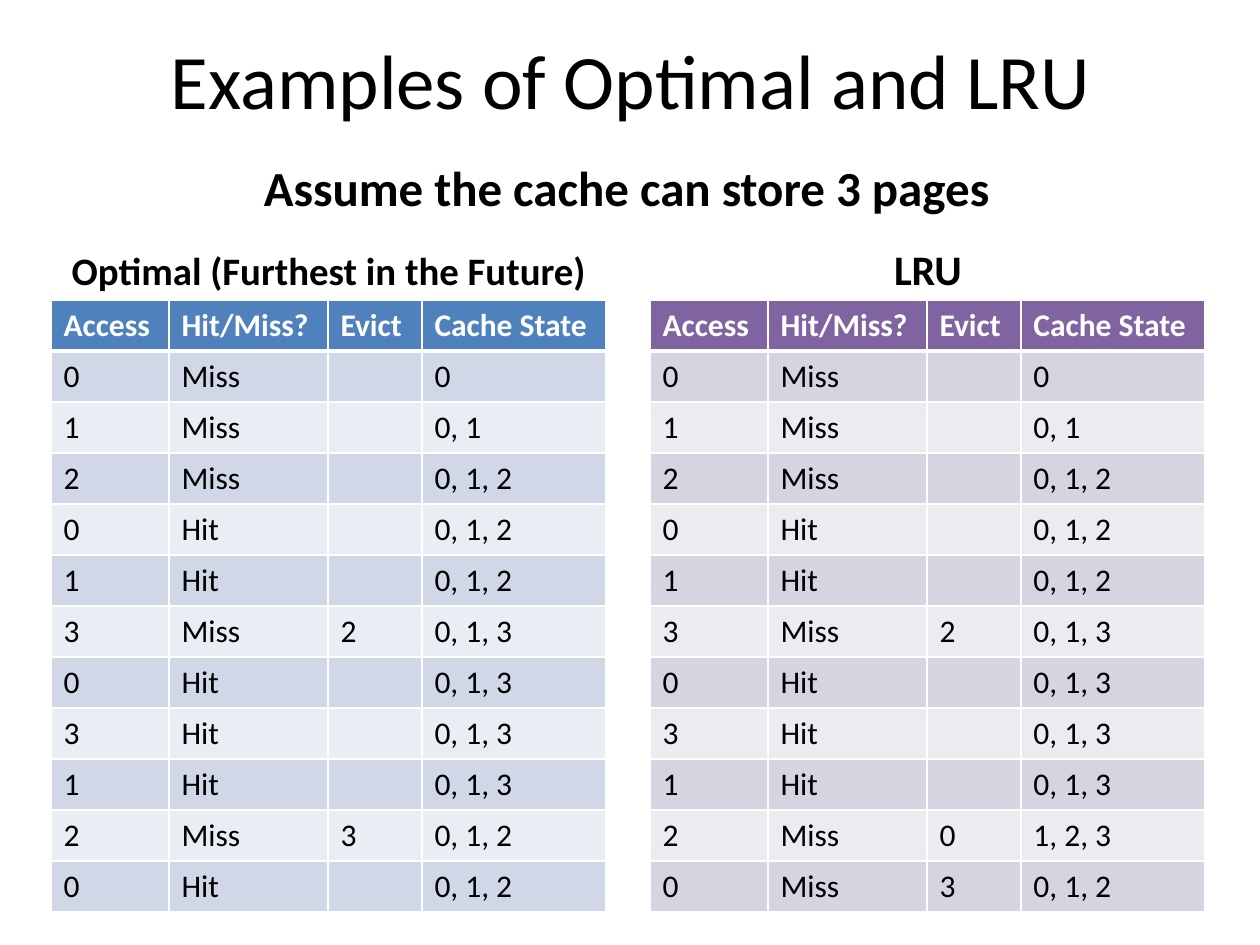
"""Build a slide comparing optimal and LRU page eviction."""
from dataclasses import dataclass

import pptx
import pptx.dml.color
import pptx.enum.text
import pptx.oxml.ns
import pptx.util
from lxml import etree

EMU_PER_PX = 914400 / 126


@dataclass(frozen=True)
class Theme:
    font: str = "Calibri"
    ink: str = "000000"
    paper: str = "FFFFFF"
    optimal: tuple = ("4F81BD", "D0D8E8", "E9EDF4")
    lru: tuple = ("8064A2", "D8D3E0", "EDEAF0")
    title_size: float = 44
    assumption_size: float = 28
    lru_size: float = 24
    optimal_size: float = 22.2
    cell_size: float = 18
    grid_width: float = 1
    header_rule_width: float = 3


def px(length):
    return pptx.util.Emu(round(length * EMU_PER_PX))


def rgb(value):
    return pptx.dml.color.RGBColor.from_string(value)


def put_text(frame, content, *, font, size, color, bold=False, align=None):
    paragraph = frame.paragraphs[0]
    paragraph.alignment = align
    run = paragraph.add_run()
    run.text = content
    run.font.name = font
    run.font.size = pptx.util.Pt(size)
    run.font.bold = bold
    run.font.color.rgb = rgb(color)


class SlideBuilder:
    def __init__(self, slide, theme):
        self.slide = slide
        self.theme = theme

    def heading(self, content, box, size, bold=True, anchor="BOTTOM"):
        frame = self.slide.shapes.add_textbox(*map(px, box)).text_frame
        frame.word_wrap = True
        frame.vertical_anchor = pptx.enum.text.MSO_ANCHOR[anchor]
        put_text(frame, content, font=self.theme.font, size=size,
                 color=self.theme.ink, bold=bold,
                 align=pptx.enum.text.PP_ALIGN.CENTER)

    def borders(self, cell, top, bottom):
        properties = cell._tc.get_or_add_tcPr()
        grid = self.theme.grid_width
        for side, width in (("L", grid), ("R", grid), ("T", top), ("B", bottom)):
            line = etree.SubElement(properties, pptx.oxml.ns.qn(f"a:ln{side}"),
                                    w=str(pptx.util.Pt(width)))
            fill = etree.SubElement(line, pptx.oxml.ns.qn("a:solidFill"))
            etree.SubElement(fill, pptx.oxml.ns.qn("a:srgbClr"),
                             val=self.theme.paper)

    def trace_table(self, left, top, widths, row_height, records, palette):
        theme = self.theme
        header_fill, *bands = palette
        table = self.slide.shapes.add_table(
            len(records), len(widths), px(left), px(top),
            px(sum(widths)), px(row_height * len(records))).table
        for column, width in zip(table.columns, widths):
            column.width = px(width)
        for index, record in enumerate(records):
            table.rows[index].height = px(row_height)
            is_header = index == 0
            fill = header_fill if is_header else bands[(index - 1) % 2]
            above = theme.header_rule_width if index == 1 else theme.grid_width
            below = theme.header_rule_width if is_header else theme.grid_width
            for column, content in enumerate(record):
                cell = table.cell(index, column)
                self.borders(cell, above, below)
                cell.fill.solid()
                cell.fill.fore_color.rgb = rgb(fill)
                put_text(cell.text_frame, content, font=theme.font,
                         size=theme.cell_size, bold=is_header,
                         color=theme.paper if is_header else theme.ink)


def main():
    theme = Theme()
    deck = pptx.Presentation()
    deck.slide_width, deck.slide_height = px(1260), px(945)
    builder = SlideBuilder(deck.slides.add_slide(deck.slide_layouts[6]), theme)

    header = ("Access", "Hit/Miss?", "Evict", "Cache State")
    shared_trace = [
        ("0", "Miss", "", "0"),
        ("1", "Miss", "", "0, 1"),
        ("2", "Miss", "", "0, 1, 2"),
        ("0", "Hit", "", "0, 1, 2"),
        ("1", "Hit", "", "0, 1, 2"),
        ("3", "Miss", "2", "0, 1, 3"),
        ("0", "Hit", "", "0, 1, 3"),
        ("3", "Hit", "", "0, 1, 3"),
        ("1", "Hit", "", "0, 1, 3"),
    ]
    optimal_end = [("2", "Miss", "3", "0, 1, 2"), ("0", "Hit", "", "0, 1, 2")]
    lru_end = [("2", "Miss", "0", "1, 2, 3"), ("0", "Miss", "3", "0, 1, 2")]
    policies = [
        (51, "Optimal (Furthest in the Future)", theme.optimal_size,
         optimal_end, theme.optimal),
        (650, "LRU", theme.lru_size, lru_end, theme.lru),
    ]

    builder.heading("Examples of Optimal and LRU", (64, 0, 1134, 158),
                    theme.title_size, bold=False, anchor="MIDDLE")
    for left, policy, size, ending, palette in policies:
        builder.heading(policy, (left, 212, 556, 88), size)
        builder.trace_table(left, 300, (118, 159, 94, 184), 51,
                            [header, *shared_trace, *ending], palette)
    builder.heading("Assume the cache can store 3 pages", (20, 151, 1213, 72),
                    theme.assumption_size)
    deck.save("out.pptx")


if __name__ == "__main__":
    main()
